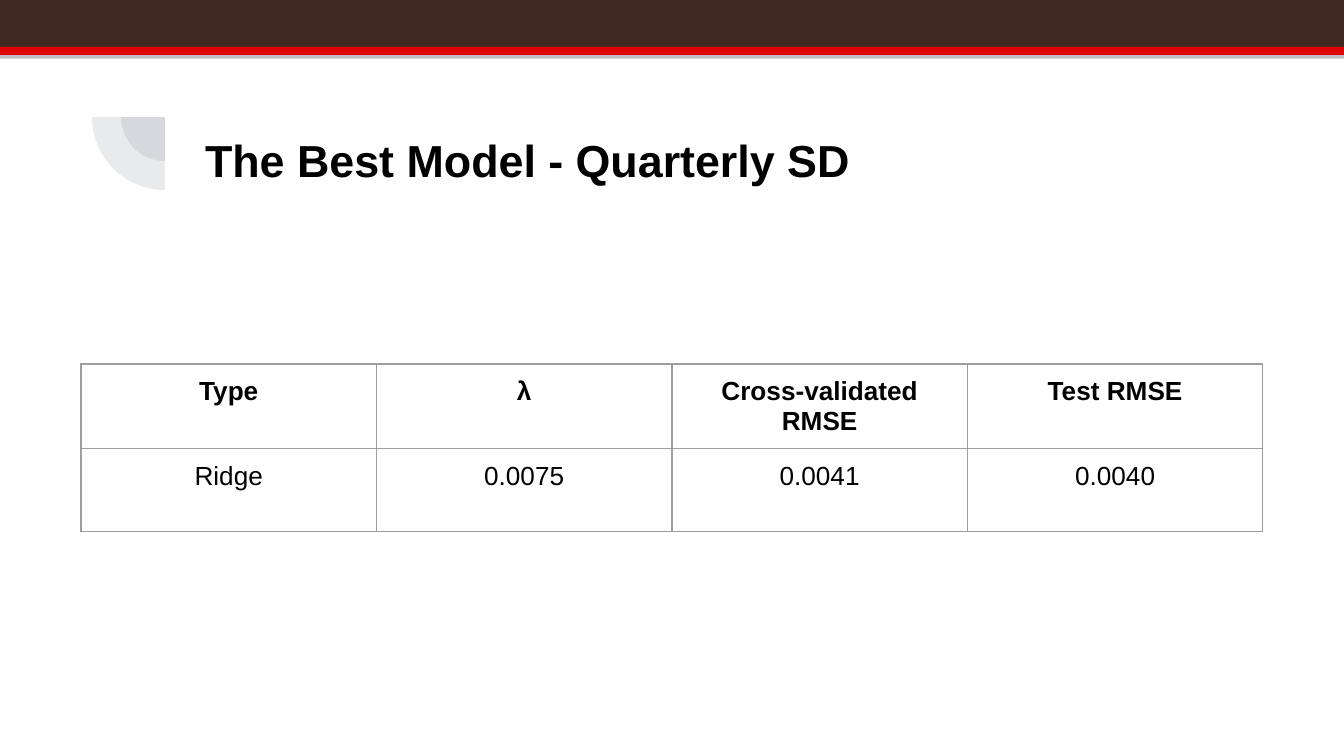
from lxml.etree import SubElement
from pptx import Presentation
from pptx.dml.color import RGBColor
from pptx.enum.shapes import MSO_SHAPE
from pptx.enum.text import MSO_ANCHOR, PP_ALIGN
from pptx.oxml.ns import qn
from pptx.util import Emu, Pt

TITLE = "The Best Model - Quarterly SD"
ROWS = [
    ("Type", "λ", "Cross-validated RMSE", "Test RMSE"),
    ("Ridge", "0.0075", "0.0041", "0.0040"),
]
COLORS = {
    "brown": "3E281F", "red": "DF0000", "slate": "575F6D",
    "border": "9E9E9E", "shadow": "808080", "text": "000000",
}
FONT = "Arial"
WIDTH, HEIGHT = 1344, 756
BANDS = [("brown", 47), ("red", 8)]
PIE_CENTER = (165, 117)
PIE_RADII = (44, 73)
TITLE_BOX = (192, 87, 1034, 146)
TABLE_LEFT, TABLE_TOP, TABLE_WIDTH, ROW_HEIGHT = 81, 364, 1182, 83
INSET = 13


def px(value):
    return Emu(round(value * 914400 / 134.4))


def rgb(name):
    return RGBColor.from_string(COLORS[name])


def add_color(parent, name, alpha=None):
    color = SubElement(parent, qn("a:srgbClr"), val=COLORS[name])
    if alpha is not None:
        SubElement(color, qn("a:alpha"), val=str(alpha * 1000))


def add_filled_shape(slide, kind, box, color):
    shape = slide.shapes.add_shape(kind, *map(px, box))
    shape.shadow.inherit = False
    shape.fill.solid()
    shape.fill.fore_color.rgb = rgb(color)
    shape.line.fill.background()
    return shape


def add_bands(slide):
    top = 0
    for color, height in BANDS:
        band = add_filled_shape(slide, MSO_SHAPE.RECTANGLE, (0, top, WIDTH, height), color)
        effects = band._element.spPr.find(qn("a:effectLst"))
        shadow = SubElement(effects, qn("a:outerShdw"), dist=str(Pt(2)), dir="5400000")
        add_color(shadow, "shadow", 50)
        top += height


def add_quarter_circles(slide):
    x, y = PIE_CENTER
    for radius in PIE_RADII:
        box = (x - radius, y - radius, 2 * radius, 2 * radius)
        pie = add_filled_shape(slide, MSO_SHAPE.PIE, box, "slate")
        pie.adjustments[0], pie.adjustments[1] = 108, 162
        pie.rotation = 270
        color = pie._element.spPr.find(qn("a:solidFill"))[0]
        SubElement(color, qn("a:alpha"), val="13000")


def set_margins(target):
    target.margin_left = target.margin_right = px(INSET)
    target.margin_top = target.margin_bottom = px(INSET)


def format_text(paragraph, size, bold, alignment):
    paragraph.alignment = alignment
    for run in paragraph.runs:
        run.font.name = FONT
        run.font.size = Pt(size)
        run.font.bold = bold
        run.font.color.rgb = rgb("text")


def fill_title(slide):
    title = slide.shapes.title
    title.left, title.top, title.width, title.height = map(px, TITLE_BOX)
    frame = title.text_frame
    frame.text = TITLE
    frame.word_wrap = True
    frame.vertical_anchor = MSO_ANCHOR.MIDDLE
    set_margins(frame)
    format_text(frame.paragraphs[0], 24, True, PP_ALIGN.LEFT)


def format_cell(cell, text, bold):
    cell.text = text
    set_margins(cell)
    cell.vertical_anchor = MSO_ANCHOR.TOP
    format_text(cell.text_frame.paragraphs[0], 14, bold, PP_ALIGN.CENTER)
    properties = cell._tc.get_or_add_tcPr()
    for side in ("lnL", "lnR", "lnT", "lnB"):
        line = SubElement(properties, qn(f"a:{side}"), w=str(Pt(0.75)))
        add_color(SubElement(line, qn("a:solidFill")), "border")
    cell.fill.background()


def add_results_table(slide):
    columns = len(ROWS[0])
    box = (TABLE_LEFT, TABLE_TOP, TABLE_WIDTH, ROW_HEIGHT * len(ROWS))
    table = slide.shapes.add_table(len(ROWS), columns, *map(px, box)).table
    table.first_row = table.horz_banding = False
    for row_index, row in enumerate(ROWS):
        for column_index, text in enumerate(row):
            format_cell(table.cell(row_index, column_index), text, row_index == 0)


def main():
    presentation = Presentation()
    presentation.slide_width, presentation.slide_height = px(WIDTH), px(HEIGHT)
    slide = presentation.slides.add_slide(presentation.slide_layouts[5])
    add_bands(slide)
    add_quarter_circles(slide)
    fill_title(slide)
    add_results_table(slide)
    presentation.save("out.pptx")


if __name__ == "__main__":
    main()
